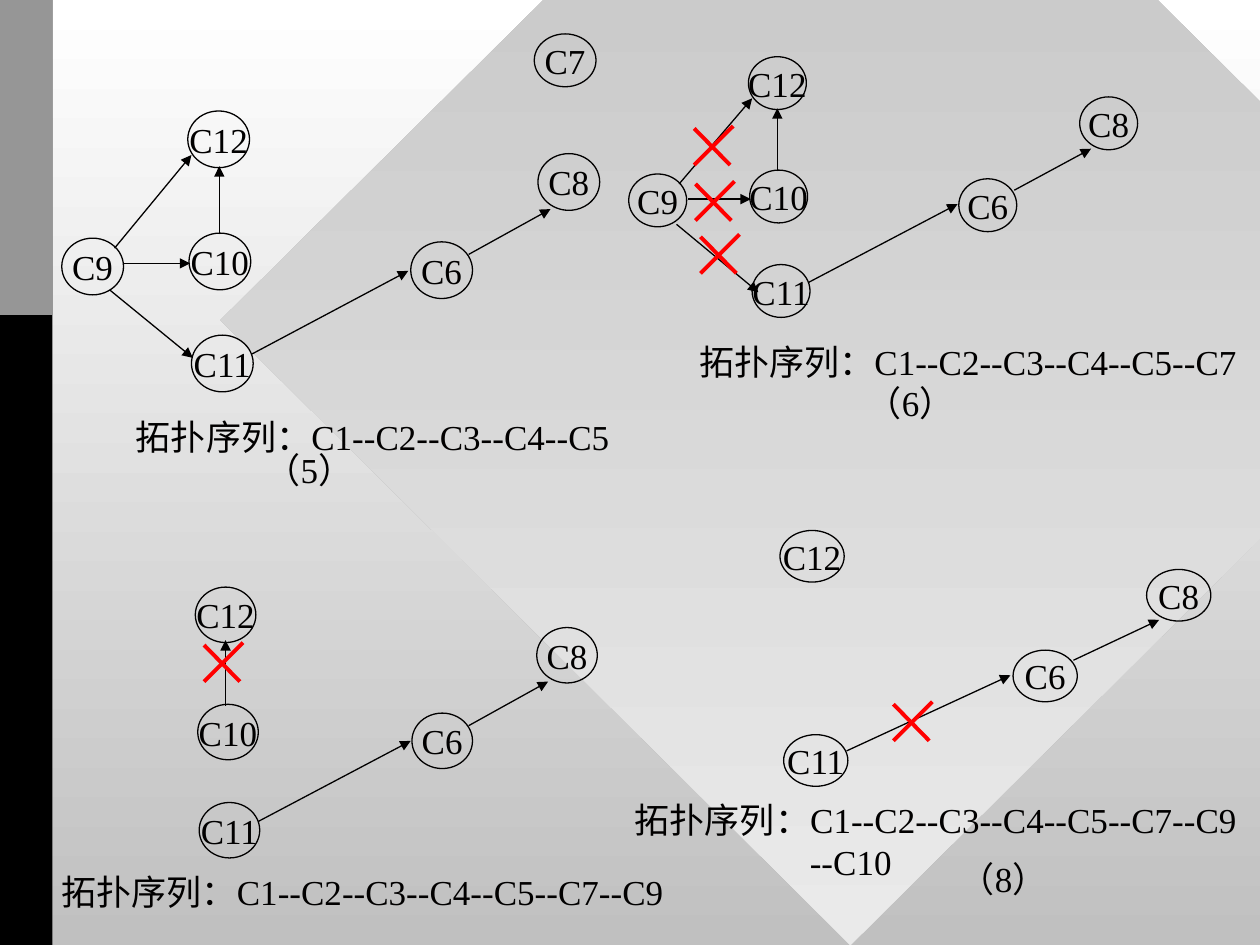
from dataclasses import dataclass
from lxml.etree import SubElement
from pptx import Presentation
from pptx.dml.color import RGBColor
from pptx.enum.shapes import MSO_CONNECTOR, MSO_SHAPE
from pptx.enum.text import MSO_ANCHOR, MSO_AUTO_SIZE, PP_ALIGN
from pptx.oxml.ns import qn
from pptx.util import Pt

INK = "010000"
RED = "FF0000"
FONT = "Times New Roman"


@dataclass
class Graph:
    node_size: tuple
    nodes: dict
    edges: list
    captions: list


GRAPHS = [
    Graph(
        (34.6, 31.7),
        {"C6": (235.4, 407.5), "C8": (306.7, 358.6), "C10": (113, 402.5),
         "C11": (113.8, 458.6), "C12": (111.6, 335.5)},
        [(128.9, 403.2, 128.9, 365.8), (147.6, 469.4, 234.7, 423.4),
         (267.8, 414.7, 313.2, 389.5)],
        [("拓扑序列：C1--C2--C3--C4--C5--C7--C9", 28.1, 493.9, 362.9, 31.7)],
    ),
    Graph(
        (36.7, 29.5),
        {"C6": (578.9, 371.5), "C8": (655.2, 325.4), "C11": (447.8, 419.8),
         "C12": (445.7, 303.1)},
        [(483.8, 429.1, 577.4, 385.9), (613.4, 377.3, 662.4, 354.2)],
        [("拓扑序列：C1--C2--C3--C4--C5--C7--C9\n--C10", 355.7, 452.9, 362.9, 55.4),
         ("（8）", 541.4, 486.7, 74.2, 31.7)],
    ),
    Graph(
        (35.3, 32.4),
        {"C6": (234.7, 138.2), "C7": (305.3, 19.4, 30.2), "C8": (307.4, 87.8),
         "C9": (35.3, 136.1), "C10": (108, 133.2), "C11": (109.4, 191.5),
         "C12": (107.3, 63.4)},
        [(65.5, 141.8, 109.4, 88.6), (70.6, 150.5, 108.7, 150.5),
         (125.3, 133.9, 125.3, 95), (144, 202.3, 233.3, 154.8),
         (267.8, 145.4, 314.6, 119.5), (62.6, 165.6, 110.2, 204.5)],
        [("拓扑序列：C1--C2--C3--C4--C5", 70.6, 234, 289.4, 31.7),
         ("（5）", 144.7, 252.7, 74.2, 31.7)],
    ),
    Graph(
        (33.1, 30.2),
        {"C6": (547.9, 102.2), "C8": (617, 55.4), "C9": (359.3, 99.4),
         "C10": (428.4, 97.2), "C11": (429.8, 151.2), "C12": (427.7, 32.4)},
        [(388.1, 105.1, 429.8, 56.2), (393.1, 113.8, 429.1, 113.8),
         (444.2, 97.9, 444.2, 61.9), (462.2, 161.3, 547.2, 116.6),
         (579.6, 108.7, 623.5, 85), (386.6, 128.2, 433.4, 167)],
        [("拓扑序列：C1--C2--C3--C4--C5--C7", 392.4, 190.8, 326.2, 31.7),
         ("（6）", 488.2, 214.6, 74.2, 31.7)],
    ),
]
CROSSES = [(116.6, 367.2), (510.5, 401), (396.7, 72), (397.4, 103.7), (400.3, 133.9)]


def color(value):
    return RGBColor.from_string(value)


def fill_gradient(fill, top, bottom):
    fill.gradient()
    fill.gradient_angle = 270
    for stop, value in zip(fill.gradient_stops, (top, bottom)):
        stop.color.rgb = color(value)


def add_preset(shapes, kind, left, top, width, height):
    shape = shapes.add_shape(kind, Pt(left), Pt(top), Pt(width), Pt(height))
    shape.shadow.inherit = False
    return shape


def add_panel(page, height, value):
    panel = add_preset(page.shapes, MSO_SHAPE.RECTANGLE, 0, 0, 30, height)
    panel.fill.solid()
    panel.fill.fore_color.rgb = color(value)
    panel.line.fill.background()


def add_backdrop(page):
    fill_gradient(page.background.fill, "FFFFFF", "C0C0C0")
    diamond = add_preset(page.shapes, MSO_SHAPE.DIAMOND, 126, -174, 720, 714)
    fill_gradient(diamond.fill, "C0C0C0", "EAEAEA")
    diamond.line.fill.background()
    add_panel(page, 540, "000000")
    add_panel(page, 180, "969696")


def format_text(frame):
    for para in frame.paragraphs:
        for span in para.runs:
            span.font.size = Pt(20)
            span.font.name = FONT
            span.font.color.rgb = color(INK)


def add_node(shapes, label, left, top, width, height):
    node = add_preset(shapes, MSO_SHAPE.OVAL, left, top, width, height)
    node.fill.background()
    node.line.color.rgb = color(INK)
    node.line.width = Pt(0.75)
    frame = node.text_frame
    frame.word_wrap = False
    frame.vertical_anchor = MSO_ANCHOR.MIDDLE
    frame.text = label
    frame.paragraphs[0].alignment = PP_ALIGN.CENTER
    format_text(frame)


def add_line(shapes, ends, value, weight):
    line = shapes.add_connector(MSO_CONNECTOR.STRAIGHT, *map(Pt, ends))
    line.line.color.rgb = color(value)
    line.line.width = Pt(weight)
    SubElement(line.element.spPr, qn("a:effectLst"))
    return line


def add_arrow(shapes, ends):
    arrow = add_line(shapes, ends, INK, 0.75)
    outline = arrow.element.spPr.find(qn("a:ln"))
    SubElement(outline, qn("a:tailEnd"), type="triangle")


def add_caption(shapes, text, left, top, width, height):
    box = shapes.add_textbox(Pt(left), Pt(top), Pt(width), Pt(height))
    frame = box.text_frame
    frame.text = text
    frame.word_wrap = False
    frame.auto_size = MSO_AUTO_SIZE.SHAPE_TO_FIT_TEXT
    frame.margin_right = Pt(0)
    for para in frame.paragraphs[1:]:
        properties = para._p.get_or_add_pPr()
        properties.set("marL", str(Pt(100)))
        properties.set("indent", "0")
    format_text(frame)


def add_graph(page, graph):
    shapes = page.shapes.add_group_shape().shapes
    width, usual_height = graph.node_size
    for label, (left, top, *own_height) in graph.nodes.items():
        height = own_height[0] if own_height else usual_height
        add_node(shapes, label, left, top, width, height)
    for ends in graph.edges:
        add_arrow(shapes, ends)
    for caption in graph.captions:
        add_caption(shapes, *caption)


def add_cross(page, left, top):
    shapes = page.shapes.add_group_shape().shapes
    bottom = top + 22.3
    add_line(shapes, (left, top + 1.4, left + 20.5, bottom), RED, 2.25)
    add_line(shapes, (left + 22.3, top, left, bottom), RED, 2.25)


def main():
    deck = Presentation()
    deck.slide_width, deck.slide_height = Pt(720), Pt(540)
    page = deck.slides.add_slide(deck.slide_layouts[6])
    add_backdrop(page)
    for graph in GRAPHS:
        add_graph(page, graph)
    for left, top in CROSSES:
        add_cross(page, left, top)
    deck.save("out.pptx")


if __name__ == "__main__":
    main()
